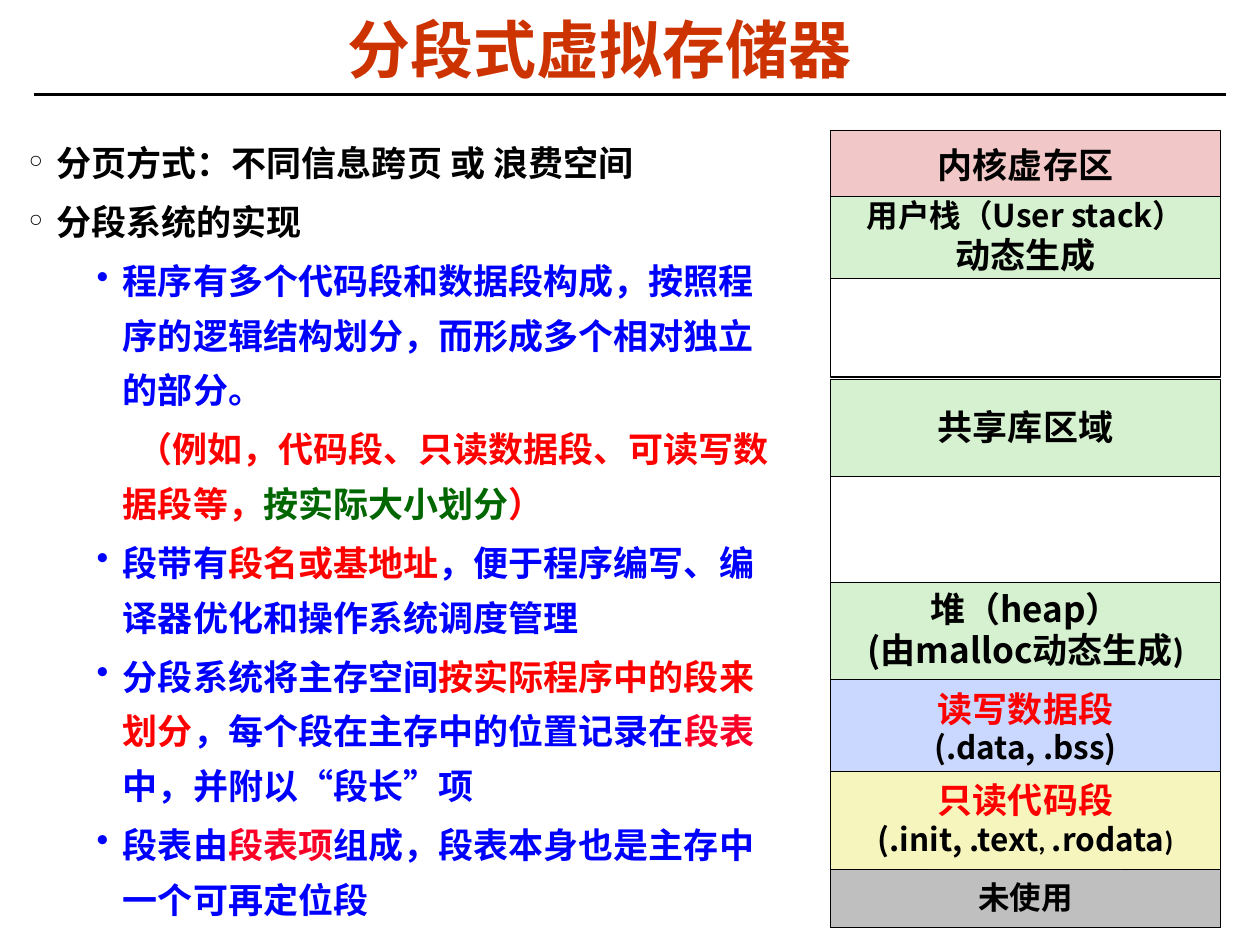
import pptx
import pptx.util
import pptx.dml.color
import pptx.enum.shapes
import pptx.enum.text
from lxml import etree
from pptx.oxml.ns import qn

Cm, Pt = pptx.util.Cm, pptx.util.Pt
SANS = "Noto Sans CJK SC"
BLACK, BLUE, RED, GREEN, ROSE = "000000", "0000FF", "FF0000", "006600", "FC0128"
MINT = "D5F1CF"

# Each paragraph: bullet, level, runs of (text, colour)
BODY = [
    ("°", 0, [("分页方式：不同信息跨页 或 浪费空间", BLACK)]),
    ("°", 0, [("分段系统的实现", BLACK)]),
    ("•", 1, [("程序有多个代码段和数据段构成，按照程序的逻辑结构划分，"
               "而形成多个相对独立的部分。", BLUE)]),
    (None, 1, [("（例如，代码段、只读数据段、可读写数据段等，", RED),
               ("按实际大小划分", GREEN), ("）", RED)]),
    ("•", 1, [("段带有", BLUE), ("段名或基地址", RED),
              ("，便于程序编写、编译器优化和操作系统调度管理", BLUE)]),
    ("•", 1, [("分段系统将主存空间", BLUE), ("按实际程序中的段来划分", RED),
              ("，每个段在主存中的位置记录在", BLUE), ("段表", ROSE),
              ("中，并附以“段长”项", BLUE)]),
    ("•", 1, [("段表由", BLUE), ("段表项", ROSE),
              ("组成，段表本身也是主存中一个可再定位段", BLUE)]),
]

# Each block: top, height, fill, line width, lines of runs (text, size, font, colour)
BLOCKS = [
    (5.59, 2.01, "FFFFFF", 0.75, []),
    (2.62, 1.45, "F1C7C7", 0.25, [[("内核虚存区", 20, SANS, BLACK)]]),
    (7.65, 1.98, MINT, 0.25, [[("共享库区域", 20, SANS, BLACK)]]),
    (9.6, 2.13, "FFFFFF", 0.25, []),
    (11.73, 1.98, MINT, 0.25, [
        [("堆（heap）", 20, SANS, BLACK)],
        [("(由malloc动态生成", 20, SANS, BLACK), (")", 20, "Calibri", BLACK)]]),
    (3.96, 1.65, MINT, 0.25, [
        [("用户栈（User stack）", 18, SANS, BLACK)],
        [("动态生成", 20, "Calibri", BLACK)]]),
    (17.53, 1.17, "BFBFBF", 0.25, [[("未使用", 18, SANS, BLACK)]]),
    (13.69, 1.98, "CAD7FE", 0.25, [
        [("读写数据段", 20, SANS, RED)],
        [("(.data, .bss)", 18, SANS, BLACK)]]),
    (15.54, 1.98, "F6F5BD", 0.25, [
        [("只读代码段", 20, SANS, RED)],
        [("(.init, .text", 18, SANS, BLACK), (", ", 16, "Calibri", BLACK),
         (".rodata", 18, SANS, BLACK), (")", 16, "Calibri", BLACK)]]),
]


def rgb(code):
    return pptx.dml.color.RGBColor.from_string(code)


def style(font, size, name, color=None):
    font.size, font.name, font.bold = Pt(size), name, True
    if color:
        font.color.rgb = rgb(color)


def add_title(slide, text):
    title = slide.shapes.title
    title.left, title.top, title.width, title.height = Cm(6.76), Cm(0.3), Cm(13.72), Cm(1.57)
    frame = title.text_frame
    frame.text = text
    frame.vertical_anchor = pptx.enum.text.MSO_ANCHOR.MIDDLE
    para = frame.paragraphs[0]
    para.alignment = pptx.enum.text.PP_ALIGN.LEFT
    para.line_spacing = 0.87
    style(para.font, 36, "Arial", "CC3300")


def add_rule(slide):
    rule = slide.shapes.add_connector(
        pptx.enum.shapes.MSO_CONNECTOR.STRAIGHT, Cm(0.69), Cm(1.9), Cm(24.71), Cm(1.9))
    rule.line.color.rgb = rgb(BLACK)
    rule.line.width = Pt(1.5)
    etree.SubElement(rule._element.spPr, qn("a:effectLst"))


def set_bullet(para, mark, level, color):
    """Indent the paragraph; without a mark its first line steps inwards."""
    props = para._p.get_or_add_pPr()
    left, hang = ((0.56, -0.56), (1.9, -0.53))[level]
    props.set("marL", str(Cm(left)))
    props.set("indent", str(Cm(hang if mark else 0.3)))
    if mark:
        tint = etree.SubElement(props, qn("a:buClr"))
        etree.SubElement(tint, qn("a:srgbClr"), val=color)
        etree.SubElement(props, qn("a:buChar"), char=mark)
    else:
        etree.SubElement(props, qn("a:buNone"))


def add_body(slide):
    box = slide.shapes.add_textbox(Cm(0.33), Cm(2.48), Cm(15.54), Cm(16.2))
    frame = box.text_frame
    frame.word_wrap = True
    for i, (mark, level, runs) in enumerate(BODY):
        para = frame.add_paragraph() if i else frame.paragraphs[0]
        para.level = level
        para.line_spacing = 1.3
        if i:
            para.space_before = Pt(2.5)
        set_bullet(para, mark, level, runs[0][1])
        style(para.font, 20, SANS)
        for text, color in runs:
            run = para.add_run()
            run.text = text
            style(run.font, 20, SANS, color)


def add_block(slide, top, height, fill, width, lines):
    block = slide.shapes.add_shape(
        pptx.enum.shapes.MSO_SHAPE.RECTANGLE, Cm(16.74), Cm(top), Cm(7.87), Cm(height))
    block.shadow.inherit = False
    block.fill.solid()
    block.fill.fore_color.rgb = rgb(fill)
    block.line.color.rgb = rgb(BLACK)
    block.line.width = Pt(width)
    frame = block.text_frame
    frame.word_wrap = False
    frame.vertical_anchor = pptx.enum.text.MSO_ANCHOR.MIDDLE
    for i, runs in enumerate(lines):
        para = frame.add_paragraph() if i else frame.paragraphs[0]
        para.alignment = pptx.enum.text.PP_ALIGN.CENTER
        para.line_spacing = 0.98
        for text, *look in runs:
            run = para.add_run()
            run.text = text
            style(run.font, *look)


def main():
    deck = pptx.Presentation()
    deck.slide_width, deck.slide_height = Cm(25.4), Cm(19.05)
    slide = deck.slides.add_slide(deck.slide_layouts[5])
    add_rule(slide)
    add_title(slide, "分段式虚拟存储器")
    add_body(slide)
    for block in BLOCKS:
        add_block(slide, *block)
    deck.save("out.pptx")


if __name__ == "__main__":
    main()
